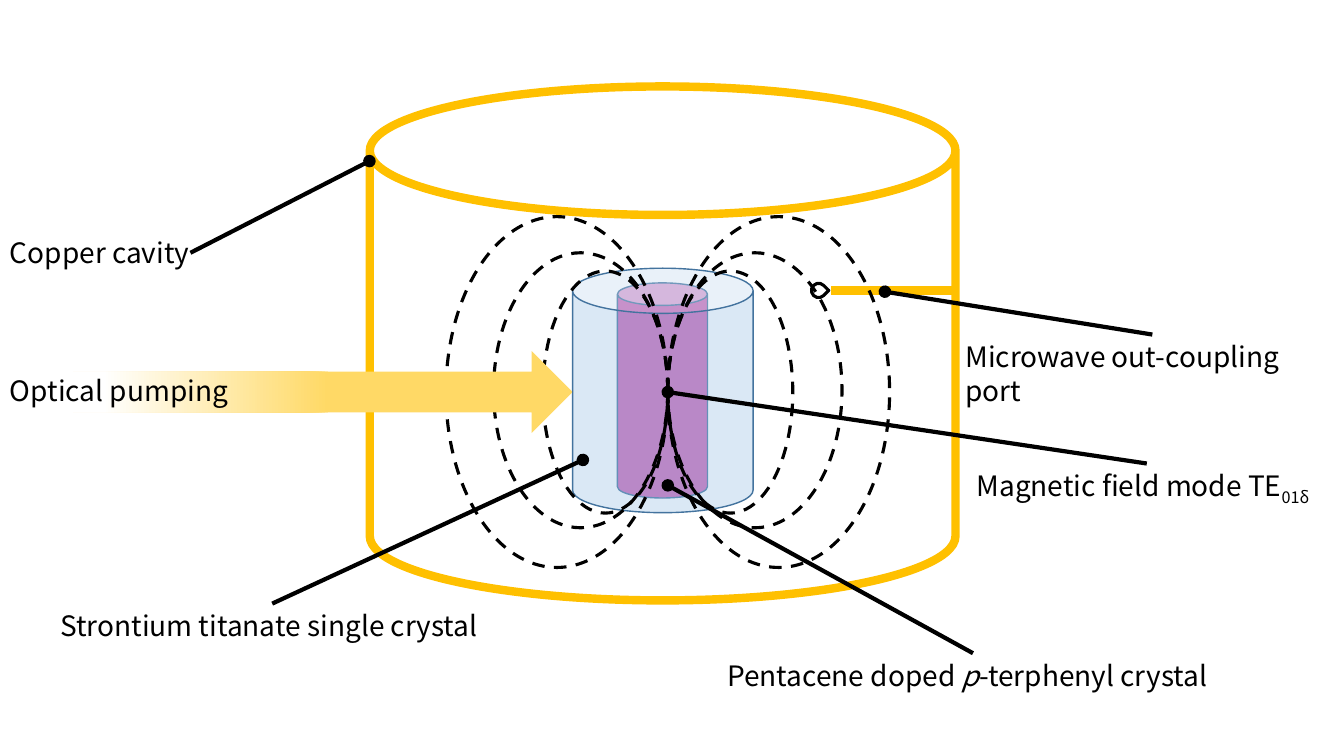
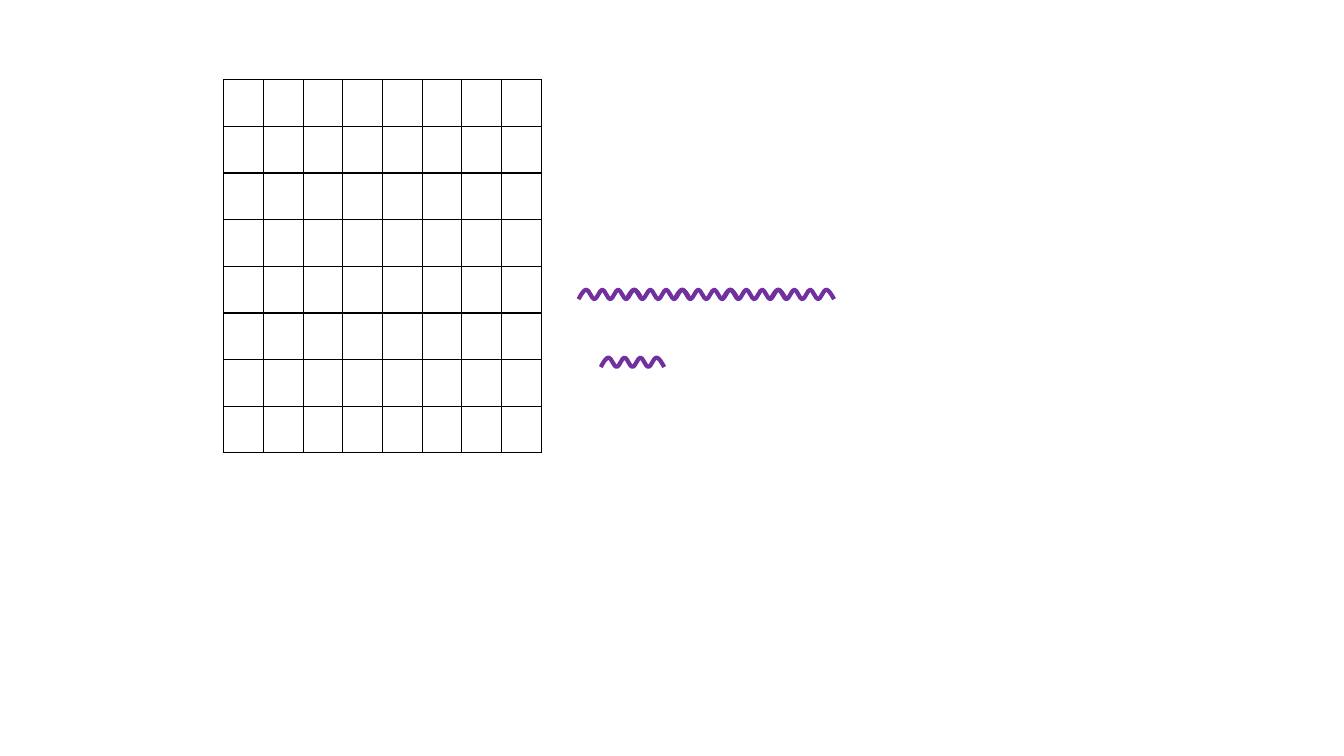
from dataclasses import dataclass

from pptx import Presentation
from pptx import util as u
from pptx.dml.color import RGBColor
from pptx.enum import dml, shapes
from pptx.oxml import parse_xml
from pptx.oxml import ns
from pptx.oxml.xmlchemy import OxmlElement

Cm, Pt = u.Cm, u.Pt
SHAPE = shapes.MSO_SHAPE


@dataclass(frozen=True)
class Theme:
    font: str = "Noto Sans CJK KR"
    label_size: float = 20
    ink: str = "000000"
    copper: str = "FFC000"
    beam: str = "FFD966"
    paper: str = "FFFFFF"
    pentacene: str = "CA66B5"
    titanate: str = "9DC3E6"
    crystal_edge: str = "43739E"
    photon: str = "7030A0"
    hairline: float = 1
    field_line: float = 2.25
    leader_line: float = 3
    wall_line: float = 6


class Sketch:
    """Holds the theme, the presentation and the slide being drawn."""

    def __init__(self, theme):
        self.theme = theme
        self.deck = Presentation()
        self.deck.slide_width, self.deck.slide_height = Cm(33.87), Cm(19.05)
        self.slide = None

    def new_slide(self):
        self.slide = self.deck.slides.add_slide(self.deck.slide_layouts[6])

    def group(self):
        return self.slide.shapes.add_group_shape().shapes

    def stroke(self, line, color, width):
        line.color.rgb = RGBColor.from_string(color)
        line.width = Pt(width)

    def solid(self, kind, box, fill=None, line=None, width=1, alpha=None, into=None):
        """Preset shape; box is left, top, width, height in cm, alpha a percentage."""
        into = into or self.slide.shapes
        body = into.add_shape(kind, *map(Cm, box))
        body.shadow.inherit = False
        if fill:
            body.fill.solid()
            body.fill.fore_color.rgb = RGBColor.from_string(fill)
        else:
            body.fill.background()
        if alpha:
            opacity = OxmlElement("a:alpha")
            opacity.set("val", str(alpha * 1000))
            body.fill._xPr.find(".//" + ns.qn("a:srgbClr")).append(opacity)
        if line:
            self.stroke(body.line, line, width)
        else:
            body.line.fill.background()
        return body

    def beam(self, box):
        """Right arrow that fades out towards its tail."""
        arrow = self.solid(SHAPE.RIGHT_ARROW, box)
        stops = [(0, self.theme.beam), (49, self.theme.beam), (94, self.theme.paper)]
        marks = "".join(
            f'<a:gs pos="{at * 1000}"><a:srgbClr val="{color}"/></a:gs>'
            for at, color in stops)
        fade = parse_xml(
            f'<a:gradFill {ns.nsdecls("a")} rotWithShape="1"><a:gsLst>{marks}</a:gsLst>'
            '<a:lin ang="10800000" scaled="0"/></a:gradFill>')
        properties = arrow._element.spPr
        properties.replace(properties.find(ns.qn("a:noFill")), fade)

    def line(self, start, end, color, width, dot=False):
        link = self.slide.shapes.add_connector(
            shapes.MSO_CONNECTOR.STRAIGHT, *map(Cm, (*start, *end)))
        self.stroke(link.line, color, width)
        if dot:
            tail = OxmlElement("a:tailEnd")
            tail.set("type", "oval")
            link.line._get_or_add_ln().append(tail)
        link._element.spPr.append(OxmlElement("a:effectLst"))

    def leader(self, start, end):
        self.line(start, end, self.theme.ink, self.theme.leader_line, dot=True)

    def label(self, left, top, width, *parts):
        """Text box; a part is a string, or a (string, style) pair."""
        box = self.slide.shapes.add_textbox(Cm(left), Cm(top), Cm(width), Cm(1.11))
        box.text_frame.word_wrap = True
        paragraph = box.text_frame.paragraphs[0]
        for part in parts:
            words, style = part if isinstance(part, tuple) else (part, None)
            run = paragraph.add_run()
            run.text = words
            run.font.name = self.theme.font
            run.font.size = Pt(self.theme.label_size)
            run.font.color.rgb = RGBColor.from_string(self.theme.ink)
            if style == "italic":
                run.font.italic = True
            elif style == "subscript":
                run.font._element.set("baseline", "-25000")

    def field_loops(self, axis, loops, side):
        """Dashed ellipses that touch the axis, on side 1 (right) or -1 (left)."""
        wing = self.group()
        for top, width, height in loops:
            left = axis if side > 0 else axis - width
            loop = self.solid(SHAPE.OVAL, (left, top, width, height),
                              line=self.theme.ink, width=self.theme.field_line, into=wing)
            loop.line.dash_style = dml.MSO_LINE.DASH
            if side < 0:
                loop._element.spPr.xfrm.set("flipH", "1")

    def grid(self, left, top, width, height, count):
        frame = self.slide.shapes.add_table(
            count, count, Cm(left), Cm(top), Cm(width), Cm(height))
        table = frame.table
        table.first_row = table.horz_banding = False
        for row in table.rows:
            row.height = Cm(height / count)
        for column in table.columns:
            column.width = Cm(width / count)
        for cell in table.iter_cells():
            properties = cell._tc.get_or_add_tcPr()
            for edge in ("lnL", "lnR", "lnT", "lnB"):
                properties.append(parse_xml(
                    f'<a:{edge} {ns.nsdecls("a")} w="{Pt(self.theme.hairline)}"><a:solidFill>'
                    f'<a:srgbClr val="{self.theme.ink}"/></a:solidFill></a:{edge}>'))
            cell.fill.background()

    def wave(self, left, base, into=None, crests=4, period=0.4, height=0.24):
        """Ripple that starts and ends on its base line."""
        into = into or self.slide.shapes
        turns = range(2 * crests + 1)
        points = [(Cm(left + period / 2 * turn), Cm(base - height * (turn % 2)))
                  for turn in turns]
        pen = into.build_freeform(*points[0])
        pen.add_line_segments(points[1:], close=False)
        ripple = pen.convert_to_shape()
        self.bend(ripple)
        ripple.shadow.inherit = False
        ripple.fill.background()
        self.stroke(ripple.line, self.theme.photon, self.theme.leader_line)

    def bend(self, zigzag):
        """Turn straight segments into curves, level at all but the two ends."""
        segments = list(zigzag._element.iter(ns.qn("a:lnTo")))
        start = next(zigzag._element.iter(ns.qn("a:moveTo")))[0]
        x0, y0 = int(start.get("x")), int(start.get("y"))
        for segment in segments:
            x1, y1 = int(segment[0].get("x")), int(segment[0].get("y"))
            third, middle = (x1 - x0) // 3, (y0 + y1) // 2
            leave = middle if segment is segments[0] else y0
            arrive = middle if segment is segments[-1] else y1
            curve = OxmlElement("a:cubicBezTo")
            for x, y in ((x0 + third, leave), (x1 - third, arrive), (x1, y1)):
                point = OxmlElement("a:pt")
                point.set("x", str(x))
                point.set("y", str(y))
                curve.append(point)
            segment.getparent().replace(segment, curve)
            x0, y0 = x1, y1


def draw_maser(sketch):
    theme = sketch.theme
    sketch.new_slide()
    center = (16.83, 9.88)
    loops = [(6.83, 3.15, 6.1), (6.37, 4.39, 6.93), (5.46, 5.59, 8.84)]

    sketch.line((24.08, 7.32), (20.93, 7.32), theme.copper, theme.wall_line)
    sketch.solid(SHAPE.CAN, (9.32, 2.18, 14.76, 12.95),
                 line=theme.copper, width=theme.wall_line)
    crystal = sketch.group()
    sketch.solid(SHAPE.CAN, (15.56, 7.13, 2.27, 5.42), theme.pentacene,
                 theme.crystal_edge, theme.hairline, into=crystal)
    sketch.solid(SHAPE.CAN, (14.43, 6.76, 4.55, 6.16), theme.titanate,
                 theme.crystal_edge, theme.hairline, alpha=37, into=crystal)
    for side in (1, -1):
        sketch.field_loops(center[0], loops, side)

    sketch.leader((4.8, 6.37), (9.31, 4.06))
    sketch.label(0, 5.82, 5.21, "Copper cavity")
    sketch.beam((1.83, 8.85, 12.6, 2.06))
    sketch.label(0, 9.28, 6.17, "Optical pumping")
    sketch.leader((6.86, 15.21), (14.69, 11.59))
    sketch.label(1.27, 15.21, 11.18, "Strontium titanate single crystal")
    sketch.leader((24.52, 16.46), (center[0], 12.23))
    sketch.label(18.08, 16.46, 12.85,
                 "Pentacene doped ", ("p", "italic"), "-terphenyl crystal")
    sketch.leader((28.9, 11.68), center)
    sketch.label(24.36, 11.68, 9.04, "Magnetic field mode TE", ("01δ", "subscript"))
    antenna = sketch.solid(SHAPE.TEAR, (20.45, 7.14, 0.36, 0.36),
                           line=theme.ink, width=theme.field_line)
    antenna.rotation = 45
    sketch.leader((29.04, 8.43), (22.3, 7.35))
    sketch.label(24.08, 8.43, 9.93, "Microwave out-coupling port")


def draw_grid_and_waves(sketch):
    sketch.new_slide()
    sketch.grid(5.64, 2.01, 8, 9.4, count=8)
    train = sketch.group()
    for place in range(5):
        sketch.wave(14.58 + 1.21 * place, 7.54, into=train)
    sketch.wave(15.14, 9.25)


def main():
    sketch = Sketch(Theme())
    draw_maser(sketch)
    draw_grid_and_waves(sketch)
    sketch.deck.save("out.pptx")


if __name__ == "__main__":
    main()
